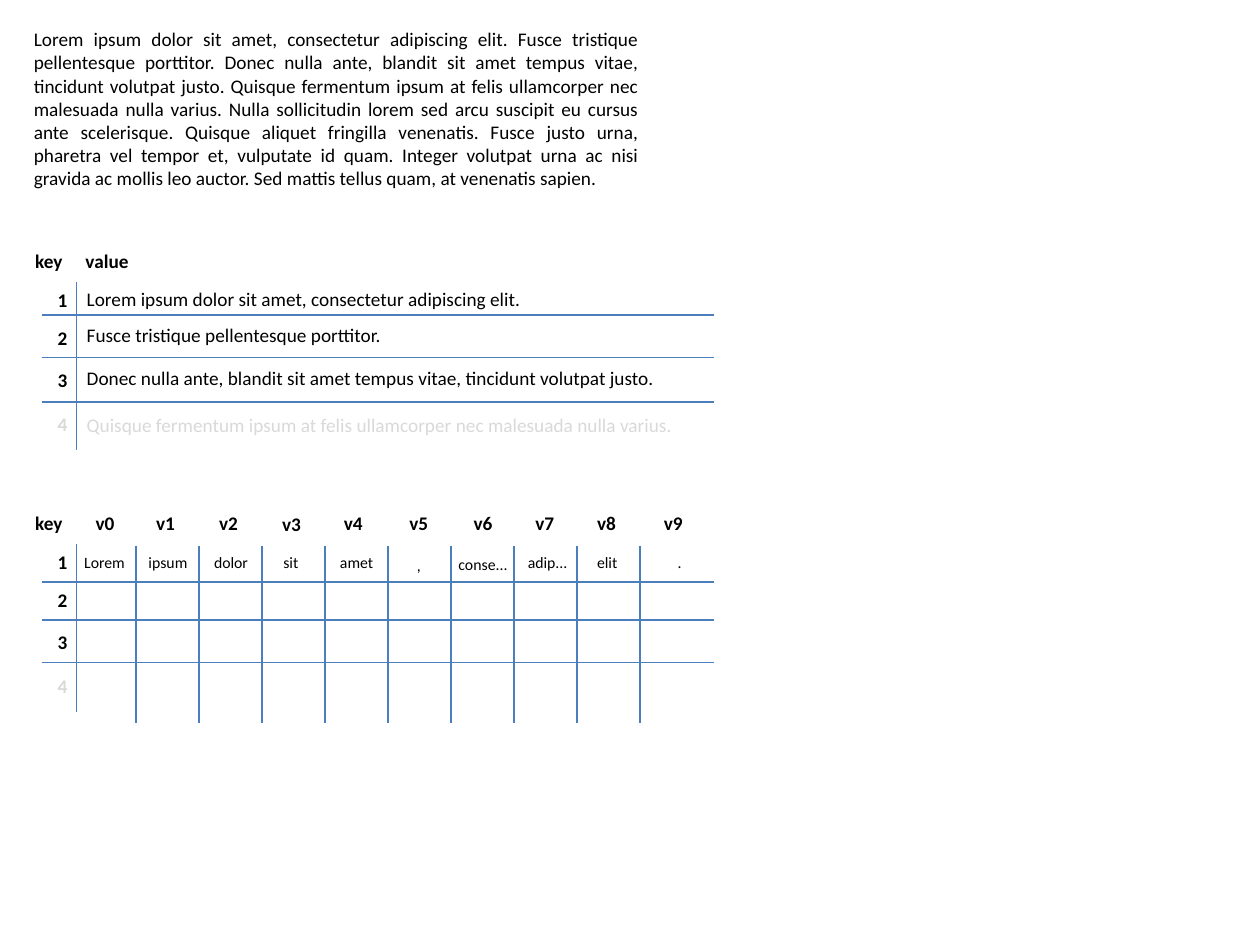
"""Builds a slide that splits a text into a key-value table and a word-column table."""
from dataclasses import dataclass

from lxml.etree import SubElement
from pptx import Presentation
from pptx.dml.color import RGBColor
from pptx.enum.shapes import MSO_CONNECTOR
from pptx.enum.text import MSO_AUTO_SIZE, PP_ALIGN
from pptx.oxml.ns import qn
from pptx.util import Inches, Pt


@dataclass(frozen=True)
class Theme:
    font: str = "Calibri"
    body: float = 11
    small: float = 9
    rule_width: float = 0.75
    ink: RGBColor = RGBColor(0x00, 0x00, 0x00)
    faded: RGBColor = RGBColor(0xD9, 0xD9, 0xD9)
    rule: RGBColor = RGBColor(0x4B, 0x7E, 0xBC)


THEME = Theme()

PASSAGE = (
    "Lorem ipsum dolor sit amet, consectetur adipiscing elit. Fusce tristique "
    "pellentesque porttitor. Donec nulla ante, blandit sit amet tempus vitae, "
    "tincidunt volutpat justo. Quisque fermentum ipsum at felis ullamcorper nec "
    "malesuada nulla varius. Nulla sollicitudin lorem sed arcu suscipit eu cursus "
    "ante scelerisque. Quisque aliquet fringilla venenatis. Fusce justo urna, "
    "pharetra vel tempor et, vulputate id quam. Integer volutpat urna ac nisi "
    "gravida ac mollis leo auctor. Sed mattis tellus quam, at venenatis sapien."
)
KEYS = [("1", 0, THEME.ink), ("2", 0.3, THEME.ink),
        ("3", 0.63, THEME.ink), ("4", 0.98, THEME.faded)]
SENTENCES = [
    ("Lorem ipsum dolor sit amet, consectetur adipiscing elit.", 2.23, THEME.ink),
    ("Fusce tristique pellentesque porttitor.", 2.52, THEME.ink),
    ("Donec nulla ante, blandit sit amet tempus vitae, tincidunt volutpat justo.",
     2.86, THEME.ink),
    ("Quisque fermentum ipsum at felis ullamcorper nec malesuada nulla varius.",
     3.23, THEME.faded),
]
WORD_COLUMNS = [
    ("v0", 0.66, "Lorem", 0.57, 0.53), ("v1", 1.14, "ipsum", 1.08, 0.52),
    ("v2", 1.64, "dolor", 1.6, 0.48), ("v3", 2.14, "sit", 2.15, 0.32),
    ("v4", 2.63, "amet", 2.6, 0.47), ("v5", 3.15, ",", 3.21, 0.23),
    ("v6", 3.66, "conse...", 3.54, 0.59), ("v7", 4.15, "adip...", 4.09, 0.52),
    ("v8", 4.64, "elit", 4.64, 0.37), ("v9", 5.17, ".", 5.28, 0.23),
]
LOWERED = {"v3": 0.01, ",": 0.02, "conse...": 0.01}
VALUE_TOP, WORD_TOP = 2.24, 4.32
KEY_HEIGHT, KEY_RULE_X = 1.33, 0.61
ROW_RULES = {VALUE_TOP: (2.5, 2.84, 3.19), WORD_TOP: (4.62, 4.92, 5.26)}
COLUMN_START, COLUMN_STEP = 1.08, 0.5
LINE_HEIGHT, SMALL_HEIGHT = 0.29, 0.25


def add_text(slide, words, left, top, width, height=LINE_HEIGHT, size=THEME.body,
             color=THEME.ink, bold=False, wrap=True, align=PP_ALIGN.LEFT):
    label = slide.shapes.add_textbox(
        Inches(left), Inches(top), Inches(width), Inches(height))
    frame = label.text_frame
    frame.word_wrap = wrap
    frame.auto_size = MSO_AUTO_SIZE.SHAPE_TO_FIT_TEXT
    paragraph = frame.paragraphs[0]
    paragraph.alignment = align
    run = paragraph.add_run()
    run.text = words
    run.font.name = THEME.font
    run.font.size = Pt(size)
    run.font.bold = bold
    run.font.color.rgb = color


def add_rule(slide, x1, y1, x2, y2):
    rule = slide.shapes.add_connector(
        MSO_CONNECTOR.STRAIGHT, Inches(x1), Inches(y1), Inches(x2), Inches(y2))
    rule.line.color.rgb = THEME.rule
    rule.line.width = Pt(THEME.rule_width)
    SubElement(rule._element.spPr, qn("a:effectLst"))


def add_key_column(slide, top, header_top):
    for y in ROW_RULES[top]:
        add_rule(slide, 0.33, y, 5.67, y)
    add_rule(slide, KEY_RULE_X, top, KEY_RULE_X, top + KEY_HEIGHT)
    add_text(slide, "key", 0.18, header_top, 0.45, bold=True)
    for key, offset, color in KEYS:
        add_text(slide, key, 0.36, top + offset, 0.28,
                 color=color, bold=True, wrap=False)


def add_value_table(slide):
    add_key_column(slide, VALUE_TOP, 1.93)
    add_text(slide, "value", 0.58, 1.93, 0.65, bold=True)
    for sentence, top, color in SENTENCES:
        add_text(slide, sentence, 0.59, top, 5, color=color)


def add_word_table(slide):
    add_key_column(slide, WORD_TOP, 4.01)
    for index in range(len(WORD_COLUMNS) - 1):
        x = COLUMN_START + index * COLUMN_STEP
        add_rule(slide, x, 4.33, x, 5.74)
    for header, header_left, word, word_left, word_width in WORD_COLUMNS:
        add_text(slide, header, header_left, 4.01 + LOWERED.get(header, 0), 0.65,
                 bold=True)
        add_text(slide, word, word_left, 4.34 + LOWERED.get(word, 0), word_width,
                 SMALL_HEIGHT, THEME.small, wrap=False)


def main():
    deck = Presentation()
    deck.slide_width, deck.slide_height = Inches(10), Inches(7.5)
    slide = deck.slides.add_slide(deck.slide_layouts[6])
    add_text(slide, PASSAGE, 0.17, 0.17, 5, 1.4, align=PP_ALIGN.JUSTIFY)
    add_value_table(slide)
    add_word_table(slide)
    deck.save("out.pptx")


if __name__ == "__main__":
    main()
